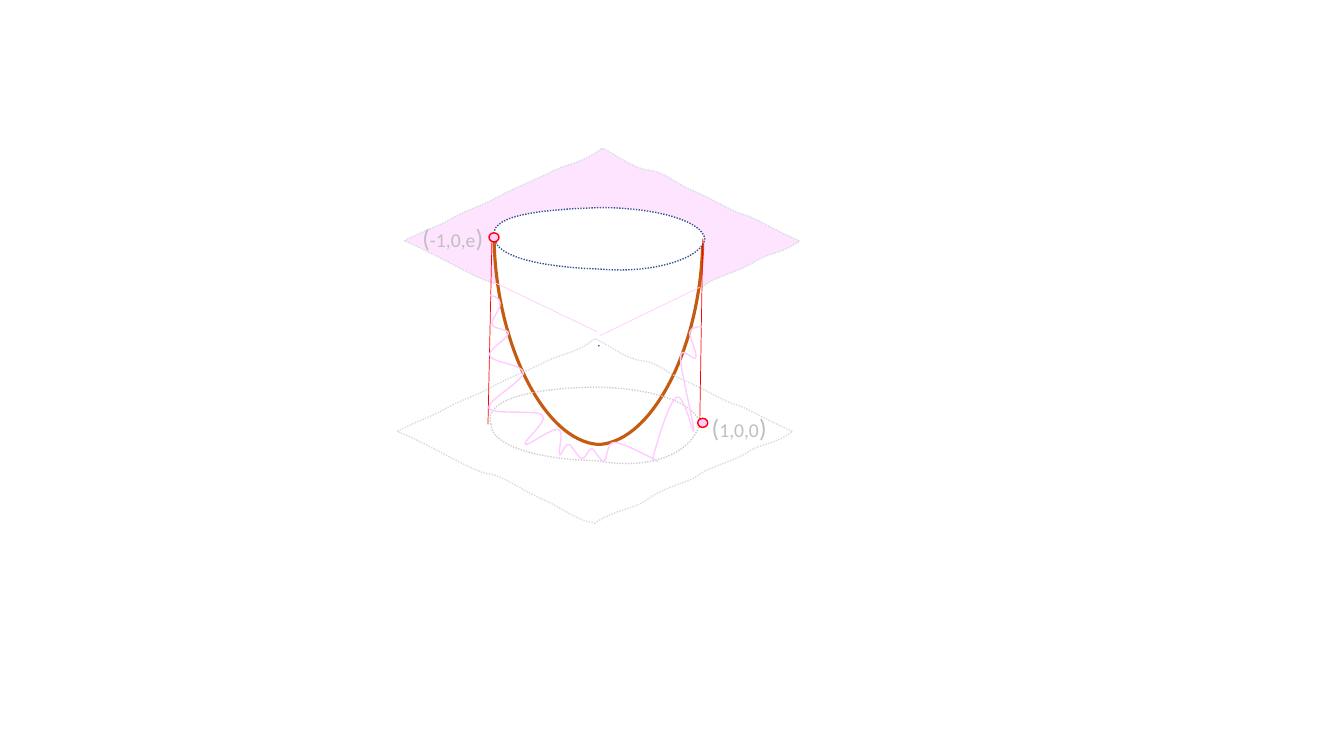
from pptx import Presentation
from pptx import util as u
from pptx.dml.color import RGBColor
from pptx.enum import dml, shapes, text
from pptx.oxml import ns, xmlchemy

prs = Presentation()
prs.slide_width, prs.slide_height = u.Inches(13.33), u.Inches(7.5)
s = prs.slides.add_slide(prs.slide_layouts[6])


def paint(sp, fill=None, line=None, width=1, dotted=False):
    """Set fill and line from hex strings; None means no paint."""
    sp.shadow.inherit = False
    for part, color in ((sp.fill, fill), (sp.line.fill, line)):
        if color:
            part.solid()
            part.fore_color.rgb = RGBColor.from_string(color)
        else:
            part.background()
    if line:
        sp.line.width = u.Pt(width)
        if dotted:
            sp.line.dash_style = dml.MSO_LINE.ROUND_DOT
    return sp


def curve(points, closed=False, dx=0, dy=0, **style):
    """Draw cubic curves: a start point, then two controls and an end each."""
    pts = [(u.Inches(x + dx), u.Inches(y + dy)) for x, y in points]
    fb = s.shapes.build_freeform(*pts[0])
    fb.add_line_segments(pts[1:], close=closed)
    sp = fb.convert_to_shape()
    segments = list(sp._element.iter(ns.qn("a:lnTo")))
    for i in range(0, len(segments), 3):
        bez = xmlchemy.OxmlElement("a:cubicBezTo")
        segments[i].addprevious(bez)
        for seg in segments[i:i + 3]:
            bez.append(seg[0])
            seg.getparent().remove(seg)
    return paint(sp, **style)


# Wavy plane, used at both heights
plane = [
    (4.01, 2.39),
    (4.2, 2.29), (4.36, 2.24), (4.48, 2.17),
    (4.59, 2.1), (4.71, 2.07), (4.91, 1.97),
    (5.11, 1.86), (5.23, 1.82), (5.44, 1.72),
    (5.64, 1.61), (5.77, 1.63), (5.97, 1.47),
    (6.11, 1.53), (6.27, 1.67), (6.44, 1.69),
    (6.61, 1.71), (6.67, 1.81), (6.89, 1.9),
    (7.1, 1.99), (7.26, 2.1), (7.38, 2.13),
    (7.49, 2.16), (7.65, 2.27), (7.93, 2.39),
    (7.74, 2.53), (7.63, 2.5), (7.48, 2.6),
    (7.32, 2.7), (7.08, 2.75), (6.99, 2.83),
    (6.89, 2.9), (6.66, 2.94), (6.5, 3.06),
    (6.33, 3.18), (6.19, 3.15), (5.97, 3.3),
    (5.77, 3.27), (5.62, 3.13), (5.44, 3.06),
    (5.26, 2.98), (5.04, 2.82), (4.91, 2.81),
    (4.78, 2.8), (4.29, 2.5), (4.01, 2.39),
]
sp = curve(plane, True, fill="FFCCFF", line="D6DCE5", dotted=True)
alpha = xmlchemy.OxmlElement("a:alpha")
alpha.set("val", "52000")
sp.fill._xPr.find(ns.qn("a:solidFill"))[0].append(alpha)

# Middle ring
curve([(5.04, 3.24), (4.94, 3.08), (5.36, 3.08), (5.95, 3.05),
       (6.47, 3.06), (6.85, 3.14), (6.86, 3.24),
       (6.78, 3.42), (6.44, 3.5), (5.95, 3.43),
       (5.43, 3.42), (5.04, 3.35), (5.04, 3.24)],
      True, line="325491", dotted=True)

# Bowl: white halves, each with its brown profile
halves = [
    ([(6.97, 2.34), (6.96, 3.43), (6.47, 4.33), (5.94, 4.41),
      (6.08, 3.73), (5.83, 3.15), (5.91, 2.17),
      (6.16, 2.23), (6.81, 2.23), (6.97, 2.34)],
     [(6.97, 2.34), (6.97, 3.41), (6.48, 4.38), (5.94, 4.41)]),
    ([(4.9, 2.34), (4.92, 3.43), (5.4, 4.33), (5.94, 4.41),
      (5.8, 3.73), (6.05, 3.14), (5.97, 2.17),
      (5.72, 2.24), (5.06, 2.23), (4.9, 2.34)],
     [(4.9, 2.34), (4.91, 3.41), (5.4, 4.38), (5.94, 4.41)]),
]
for half, profile in halves:
    curve(half, True, fill="FFFFFF")
    curve(profile, line="C55A11", width=2.25)

# Lower plane and its ring
curve(plane, True, dx=-0.07, dy=1.89, line="D6DCE5", dotted=True)
curve([(4.87, 4.21), (4.78, 3.96), (5.3, 3.85), (5.91, 3.84),
       (6.5, 3.85), (6.92, 4.01), (6.94, 4.21),
       (6.85, 4.5), (6.46, 4.67), (5.91, 4.57),
       (5.31, 4.56), (4.87, 4.41), (4.87, 4.21)],
      True, line="D0CECE", dotted=True)

# Top ring
curve([(4.91, 2.37), (4.82, 2.14), (5.33, 2.08), (5.95, 2.06),
       (6.53, 2.06), (6.97, 2.2), (6.99, 2.37),
       (6.97, 2.55), (6.51, 2.72), (5.95, 2.67),
       (5.34, 2.65), (4.92, 2.54), (4.91, 2.37)],
      True, fill="FFFFFF", line="325491", dotted=True)

# Cylinder sides in red, hidden plane edges in pink
for x1, y1, x2, y2, color in [(4.88, 2.34, 4.84, 4.21, "FF0000"),
                              (6.97, 2.37, 6.94, 4.24, "FF0000"),
                              (4.9, 2.8, 5.92, 3.29, "FFCCFF"),
                              (5.95, 3.33, 6.94, 2.85, "FFCCFF")]:
    cx = s.shapes.add_connector(shapes.MSO_CONNECTOR.STRAIGHT,
                                *map(u.Inches, (x1, y1, x2, y2)))
    cx.line.color.rgb = RGBColor.from_string(color)
    cx.line.width = u.Pt(0.5)
    cx._element.spPr.append(xmlchemy.OxmlElement("a:effectLst"))

# Coordinate labels
for x, y, w, coords in [(4.09, 2.16, 0.81, "-1,0,e"),
                        (6.96, 4.04, 0.75, "1,0,0")]:
    tb = s.shapes.add_textbox(*map(u.Inches, (x, y, w, 0.4)))
    tf = tb.text_frame
    tf.word_wrap = False
    tf.auto_size = text.MSO_AUTO_SIZE.SHAPE_TO_FIT_TEXT
    for part, size in (("(", 18), (coords, 14), (")", 18)):
        r = tf.paragraphs[0].add_run()
        r.text = part
        r.font.name, r.font.size = "Calibri", u.Pt(size)
        r.font.color.rgb = RGBColor.from_string("BFBFBF")

# Pink zigzag shading, left then right
curve([(4.86, 2.93),
       (4.91, 2.94), (4.96, 2.96), (4.96, 3.01),
       (4.97, 3.06), (4.87, 3.17), (4.88, 3.22),
       (4.9, 3.27), (5.05, 3.26), (5.04, 3.31),
       (5.04, 3.36), (4.83, 3.47), (4.86, 3.53),
       (4.88, 3.6), (5.19, 3.61), (5.19, 3.7),
       (5.19, 3.78), (4.82, 3.98), (4.85, 4.05),
       (4.88, 4.12), (5.32, 4.06), (5.38, 4.12),
       (5.44, 4.18), (5.18, 4.38), (5.21, 4.41),
       (5.23, 4.43), (5.48, 4.24), (5.54, 4.26),
       (5.6, 4.28), (5.53, 4.49), (5.55, 4.51),
       (5.56, 4.54), (5.6, 4.4), (5.64, 4.41),
       (5.67, 4.41), (5.73, 4.54), (5.77, 4.55),
       (5.81, 4.56), (5.83, 4.45), (5.87, 4.45),
       (5.9, 4.46), (5.95, 4.58), (5.99, 4.57),
       (6.03, 4.56), (6.01, 4.38), (6.1, 4.39),
       (6.19, 4.39), (6.53, 4.58), (6.53, 4.58)], line="FFCCFF")
curve([(6.47, 4.56),
       (6.55, 4.27), (6.64, 3.99), (6.71, 3.94),
       (6.78, 3.89), (6.88, 4.34), (6.88, 4.27),
       (6.89, 4.21), (6.74, 3.66), (6.75, 3.54),
       (6.75, 3.42), (6.89, 3.59), (6.9, 3.55),
       (6.92, 3.51), (6.84, 3.35), (6.84, 3.3),
       (6.85, 3.24), (6.94, 3.24), (6.96, 3.24)], line="FFCCFF")

# Marked points
for x, y in [(6.92, 4.15), (4.85, 2.31)]:
    dot = s.shapes.add_shape(shapes.MSO_SHAPE.OVAL,
                             *map(u.Inches, (x, y, 0.1, 0.09)))
    paint(dot, fill="FFCCFF", line="FF0000")

prs.save("out.pptx")
